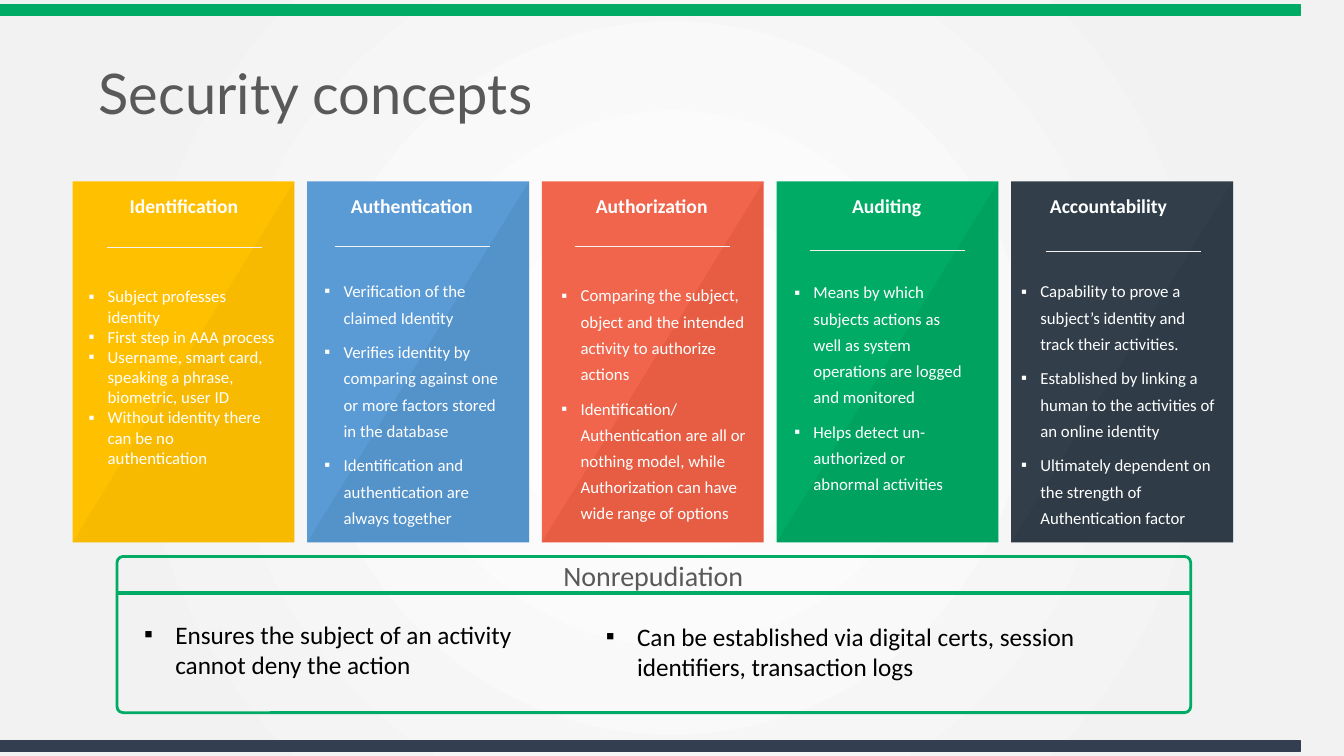
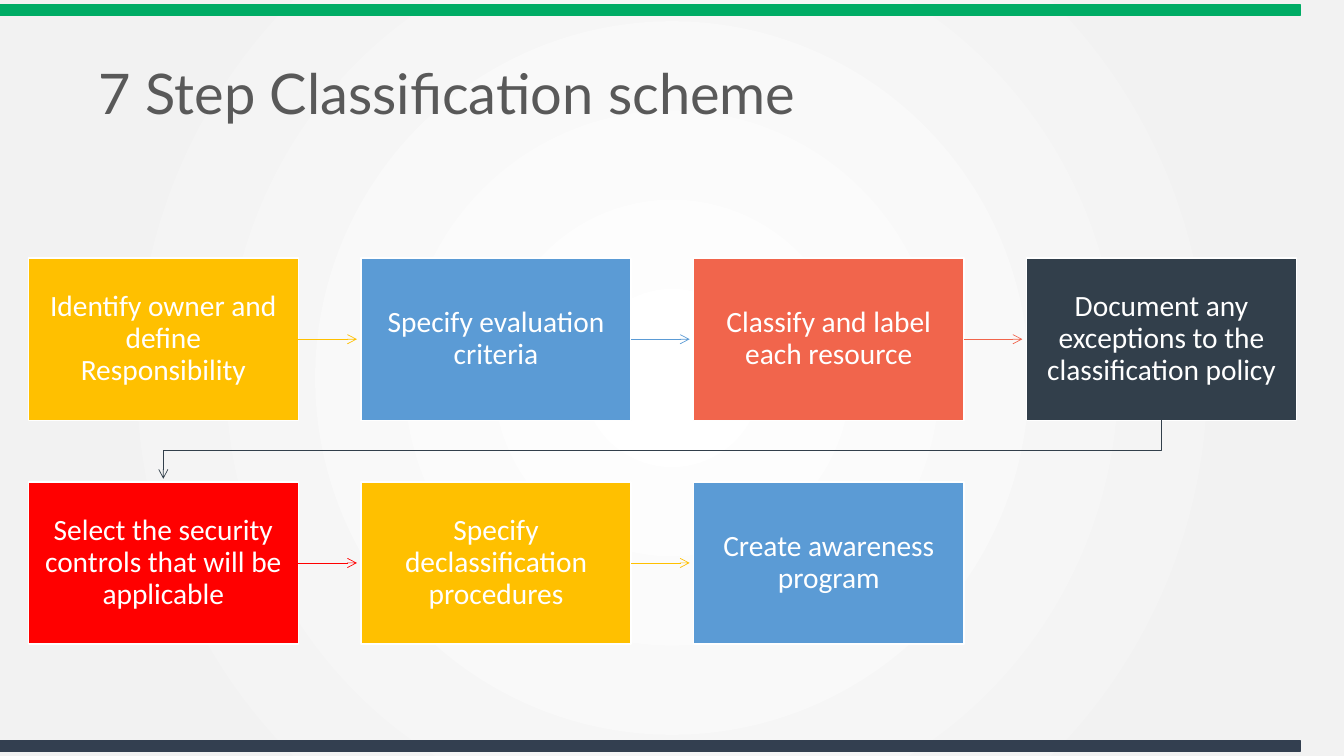
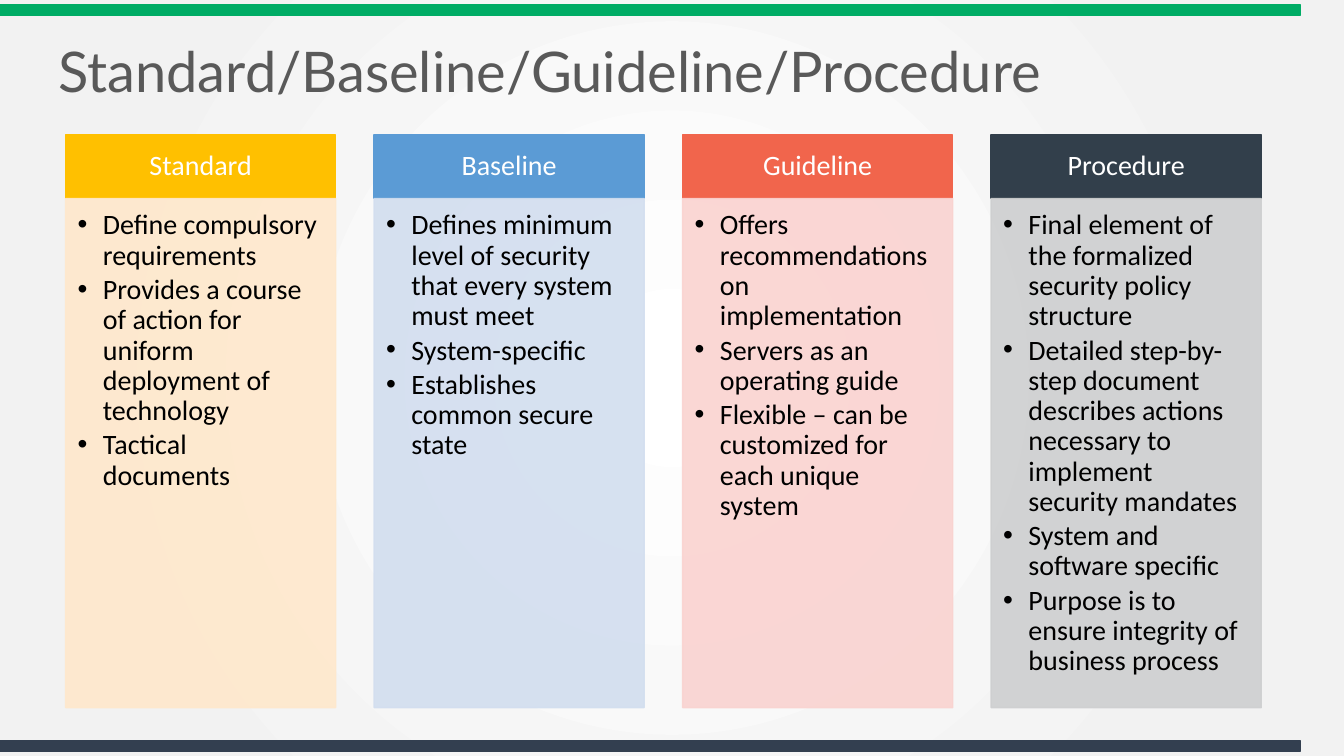
from lxml import etree
from pptx import Presentation
from pptx.dml.color import RGBColor
from pptx.enum.shapes import MSO_CONNECTOR, MSO_SHAPE
from pptx.enum.text import MSO_ANCHOR, MSO_AUTO_SIZE, PP_ALIGN
from pptx.oxml import parse_xml
from pptx.oxml.ns import nsdecls, qn
from pptx.util import Inches, Pt

RECT, ROUND_RECT = MSO_SHAPE.RECTANGLE, MSO_SHAPE.ROUNDED_RECTANGLE
RIGHT_TRIANGLE = MSO_SHAPE.RIGHT_TRIANGLE
STRAIGHT = MSO_CONNECTOR.STRAIGHT
TOP, MIDDLE = MSO_ANCHOR.TOP, MSO_ANCHOR.MIDDLE
LEFT, CENTER = PP_ALIGN.LEFT, PP_ALIGN.CENTER

# Colours
YELLOW = RGBColor(0xFF, 0xC0, 0x00)
BLUE = RGBColor(0x5B, 0x9B, 0xD5)
CORAL = RGBColor(0xF1, 0x65, 0x4C)
GREEN = RGBColor(0x00, 0xAC, 0x65)
SLATE = RGBColor(0x32, 0x3F, 0x4B)
NAVY = RGBColor(0x33, 0x3F, 0x50)
RED = RGBColor(0xFF, 0x00, 0x00)
WHITE = RGBColor(0xFF, 0xFF, 0xFF)
BLACK = RGBColor(0x00, 0x00, 0x00)
GRAY = RGBColor(0x59, 0x59, 0x59)
PALE_GRAY = RGBColor(0xF2, 0xF2, 0xF2)
DARK_YELLOW = RGBColor(0xBF, 0x90, 0x00)
DARK_BLUE = RGBColor(0x1F, 0x4E, 0x79)
DARK_CORAL = RGBColor(0x93, 0x20, 0x0B)
DARK_GREEN = RGBColor(0x00, 0x56, 0x32)
DARK_SLATE = RGBColor(0x19, 0x20, 0x26)
LIGHT_YELLOW = RGBColor(0xFF, 0xE8, 0xCC)
LIGHT_BLUE = RGBColor(0xD2, 0xDE, 0xEF)
LIGHT_CORAL = RGBColor(0xFA, 0xD3, 0xD0)
LIGHT_SLATE = RGBColor(0xCE, 0xCF, 0xD0)

DEFAULT_INSETS = (0.1, 0.05, 0.1, 0.05)
BANDS = [(0.05, GREEN), (7.35, NAVY)]

# Slide 1: security concepts
AIRY = {"line_spacing": 1.3, "space_before": Pt(6)}
CONCEPTS = [
    {"name": "Identification", "fill": YELLOW, "shade": DARK_YELLOW,
     "heading_left": 0.86, "rule": (1.06, 2.45), "body": (0.78, 2.79, 2.07, 1.92),
     "spacing": {},
     "points": ["Subject professes identity",
                "First step in AAA process",
                "Username, smart card, speaking a phrase, biometric, user ID",
                "Without identity there can be no authentication"]},
    {"name": "Authentication", "fill": BLUE, "shade": DARK_BLUE,
     "heading_left": 3.12, "rule": (3.32, 2.44), "body": (3.12, 2.68, 1.93, 2.63),
     "spacing": AIRY,
     "points": ["Verification of the claimed Identity",
                "Verifies identity by comparing against one or more factors "
                "stored in the database",
                "Identification and authentication are always together"]},
    {"name": "Authorization", "fill": CORAL, "shade": DARK_CORAL,
     "heading_left": 5.5, "rule": (5.7, 2.44), "body": (5.47, 2.72, 2.09, 2.55),
     "spacing": AIRY,
     "points": ["Comparing the subject, object and the intended activity to "
                "authorize actions",
                "Identification/ Authentication are all or nothing model, while "
                "Authorization can have wide range of options"]},
    {"name": "Auditing", "fill": GREEN, "shade": DARK_GREEN,
     "heading_left": 7.83, "rule": (8.03, 2.48), "body": (7.78, 2.69, 1.93, 2.29),
     "spacing": AIRY,
     "points": ["Means by which subjects actions as well as system operations "
                "are logged and monitored",
                "Helps detect un-authorized or abnormal activities"]},
    {"name": "Accountability", "fill": SLATE, "shade": DARK_SLATE,
     "heading_left": 10.03, "rule": (10.37, 2.49), "body": (10.03, 2.68, 2.2, 2.98),
     "spacing": AIRY,
     "points": ["Capability to prove a subject’s identity and track their activities.",
                "Established by linking a human to the activities of an online identity",
                "Ultimately dependent on the strength of Authentication factor"]},
]
NONREPUDIATION = [
    ("Ensures the subject of an activity cannot deny the action",
     (1.33, 6.09, 4.18, 0.71)),
    ("Can be established via digital certs, session identifiers, transaction logs",
     (5.91, 6.11, 5.59, 0.71)),
]

# Slide 2: classification steps
STEPS = [
    ("Identify owner and define Responsibility", YELLOW),
    ("Specify evaluation criteria", BLUE),
    ("Classify and label each resource", CORAL),
    ("Document any exceptions to the classification policy", SLATE),
    ("Select the security controls that will be applicable", RED),
    ("Specify declassification procedures", YELLOW),
    ("Create awareness program", BLUE),
]

# Slide 3: document types
DOCUMENTS = [
    ("Standard", YELLOW, LIGHT_YELLOW,
     ["Define compulsory requirements",
      "Provides a course of action for uniform deployment of technology",
      "Tactical documents"]),
    ("Baseline", BLUE, LIGHT_BLUE,
     ["Defines minimum level of security that every system must meet",
      "System-specific",
      "Establishes common secure state"]),
    ("Guideline", CORAL, LIGHT_CORAL,
     ["Offers recommendations on implementation",
      "Servers as an operating guide",
      "Flexible – can be customized for each unique system"]),
    ("Procedure", SLATE, LIGHT_SLATE,
     ["Final element of the formalized security policy structure",
      "Detailed step-by-step document describes actions necessary to "
      "implement security mandates",
      "System and software specific",
      "Purpose is to ensure integrity of business process"]),
]


def place(box):
    return [Inches(v) for v in box]


def set_bullet(p, char, indent):
    pPr = p._p.get_or_add_pPr()
    pPr.set("marL", str(Inches(indent)))
    pPr.set("indent", str(-Inches(indent)))
    etree.SubElement(pPr, qn("a:buFont")).set("typeface", "Arial")
    etree.SubElement(pPr, qn("a:buChar")).set("char", char)


def write(s, lines, size, color, bold=False, align=LEFT, anchor=TOP,
          insets=DEFAULT_INSETS, bullet=None, indent=0, spacing=None, font="Calibri"):
    """Fill a shape with one paragraph for each line."""
    tf = s.text_frame
    sides = ("margin_left", "margin_top", "margin_right", "margin_bottom")
    frame = {"word_wrap": True, "auto_size": MSO_AUTO_SIZE.NONE, "vertical_anchor": anchor,
             **dict(zip(sides, place(insets)))}
    for key, value in frame.items():
        setattr(tf, key, value)
    for i, line in enumerate(lines):
        p = tf.add_paragraph() if i else tf.paragraphs[0]
        if bullet:
            set_bullet(p, bullet, indent)
        for key, value in {"alignment": align, **(spacing or {})}.items():
            if i or key != "space_before":
                setattr(p, key, value)
        r = p.add_run()
        r.text = line
        for key, value in {"name": font, "size": Pt(size), "bold": bold}.items():
            setattr(r.font, key, value)
        r.font.color.rgb = color


def add_text(slide, box, lines, *args, **formats):
    write(slide.shapes.add_textbox(*place(box)), lines, *args, **formats)


def style(s, fill=None, line=None, width=1, alpha=None):
    s.shadow.inherit = False
    for part, color in ((s.fill, fill), (s.line.fill, line)):
        if color is None:
            part.background()
        else:
            part.solid()
            part.fore_color.rgb = color
    if line is not None:
        s.line.width = Pt(width)
    if alpha:
        for clr in s._element.spPr.iter(qn("a:srgbClr")):
            etree.SubElement(clr, qn("a:alpha")).set("val", str(alpha * 1000))


def add_box(slide, kind, box, **look):
    s = slide.shapes.add_shape(kind, *place(box))
    style(s, **look)
    return s


def add_arrowhead(s):
    s.line._get_or_add_ln().append(
        parse_xml(f'<a:tailEnd {nsdecls("a")} type="arrow"/>'))


def add_line(slide, x1, y1, x2, y2, color, width):
    s = slide.shapes.add_connector(STRAIGHT, *place((x1, y1, x2, y2)))
    s.line.color.rgb = color
    s.line.width = Pt(width)
    etree.SubElement(s._element.spPr, qn("a:effectLst"))
    return s


def set_background(master):
    stops = "".join(f'<a:gs pos="{pos}"><a:srgbClr val="{color}"/></a:gs>'
                    for pos, color in ((0, WHITE), (81000, PALE_GRAY), (100000, PALE_GRAY)))
    gradient = parse_xml(
        f'<a:gradFill {nsdecls("a")} rotWithShape="1"><a:gsLst>{stops}</a:gsLst>'
        '<a:path path="circle"><a:fillToRect l="50000" t="50000" r="50000" b="50000"/>'
        '</a:path></a:gradFill>')
    master.background.fill.solid()
    bg = master.element.xpath(".//p:bgPr")[0]
    bg.replace(bg[0], gradient)


def add_bands(slide, master):
    """Draw the bands and move them behind everything on the master."""
    for top, color in BANDS:
        band = add_box(slide, RECT, (0, top, 12.9, 0.1), fill=color, line=color)
        master.shapes.element.insert(2, band._element)


def new_slide(prs, title, left=0.88, top=0.56):
    slide = prs.slides.add_slide(prs.slide_layouts[5])
    s = slide.shapes.title
    s.left, s.top, s.width, s.height = place((left, top, 11.7, 0.8))
    write(s, [title], 40, GRAY, anchor=MIDDLE, font="Lato", spacing={"line_spacing": 0.9})
    return slide


def build_concepts(prs):
    slide = new_slide(prs, "Security concepts")
    first, last, width = 0.72, 10.03, 2.2
    step = (last - first) / (len(CONCEPTS) - 1)
    for i, concept in enumerate(CONCEPTS):
        # Panel with a translucent diagonal shade
        panel = (first + i * step, 1.8, width, 3.58)
        add_box(slide, RECT, panel, fill=concept["fill"])
        shade = add_box(slide, RIGHT_TRIANGLE, panel, fill=concept["shade"], alpha=11)
        shade._element.spPr.xfrm.set("flipH", "1")
        # Heading, rule and points
        add_text(slide, (concept["heading_left"], 1.87, 1.93, 0.34), [concept["name"]],
                 14, WHITE, bold=True, align=CENTER)
        add_text(slide, concept["body"], concept["points"], 12, WHITE,
                 bullet="▪", indent=0.19, spacing=concept["spacing"])
        x, y = concept["rule"]
        add_line(slide, x, y, x + 1.54, y, PALE_GRAY, 0.5)

    # Nonrepudiation frame
    frame = add_box(slide, ROUND_RECT, (1.16, 5.52, 10.65, 1.55), line=GREEN, width=2)
    frame.adjustments[0] = 0.04
    add_text(slide, (1.88, 5.47, 9.2, 0.47), ["Nonrepudiation"], 20, GRAY,
             align=CENTER, anchor=MIDDLE, insets=(0.13, 0.07, 0.13, 0.07))
    for y, weight in ((5.87, 0.5), (5.89, 2)):
        add_line(slide, 1.16, y, 11.8, y, GREEN, weight)
    for text, box in NONREPUDIATION:
        add_text(slide, box, [text], 18, BLACK, bullet="▪", indent=0.31)
    return slide


def build_steps(prs):
    slide = new_slide(prs, "7 Step Classification scheme")
    columns, left, top = 4, 0.28, 2.56
    width, height, x_step, y_step = 2.68, 1.61, 3.3, 2.22
    for i, (text, color) in enumerate(STEPS):
        row, column = divmod(i, columns)
        x, y = left + column * x_step, top + row * y_step
        s = add_box(slide, RECT, (x, y, width, height), fill=color, line=WHITE)
        write(s, [text], 21, WHITE, align=CENTER, anchor=MIDDLE, insets=(0.16,) * 4,
              spacing={"line_spacing": 0.9})
        if i == len(STEPS) - 1:
            continue
        # Arrow to the next step
        if column < columns - 1:
            mid = y + height / 2
            arrow = add_line(slide, x + width, mid, x + x_step - 0.04, mid, color, 0.5)
        else:
            start, end = x + width / 2, left + width / 2
            bottom, turn, tip = y + height, y + 1.91, y + y_step - 0.03
            outline = slide.shapes.build_freeform(Inches(start), Inches(bottom))
            outline.add_line_segments(
                [place(point) for point in ((start, turn), (end, turn), (end, tip))],
                close=False)
            arrow = outline.convert_to_shape()
            style(arrow, line=color, width=0.5)
        add_arrowhead(arrow)


def build_documents(prs):
    slide = new_slide(prs, "Standard/Baseline/Guideline/Procedure", 0.48, 0.34)
    left, step, width = 0.65, 3.06, 2.68
    for i, (name, color, tint, points) in enumerate(DOCUMENTS):
        x = left + i * step
        head = add_box(slide, RECT, (x, 1.34, width, 0.63), fill=color, line=color)
        write(head, [name], 20, WHITE, align=CENTER, anchor=MIDDLE,
              insets=(0.16, 0.09, 0.16, 0.09), spacing={"line_spacing": 0.9})
        body = add_box(slide, RECT, (x, 1.97, width, 5.05), fill=tint, line=tint, alpha=90)
        write(body, points, 20, BLACK, insets=(0.12, 0.12, 0.16, 0.17), bullet="•",
              indent=0.25, spacing={"line_spacing": 0.9, "space_after": Pt(3)})


def main():
    prs = Presentation()
    prs.slide_width, prs.slide_height = place((13.33, 7.5))
    set_background(prs.slide_master)
    concepts = build_concepts(prs)
    add_bands(concepts, prs.slide_master)
    build_steps(prs)
    build_documents(prs)
    prs.save("out.pptx")


if __name__ == "__main__":
    main()
